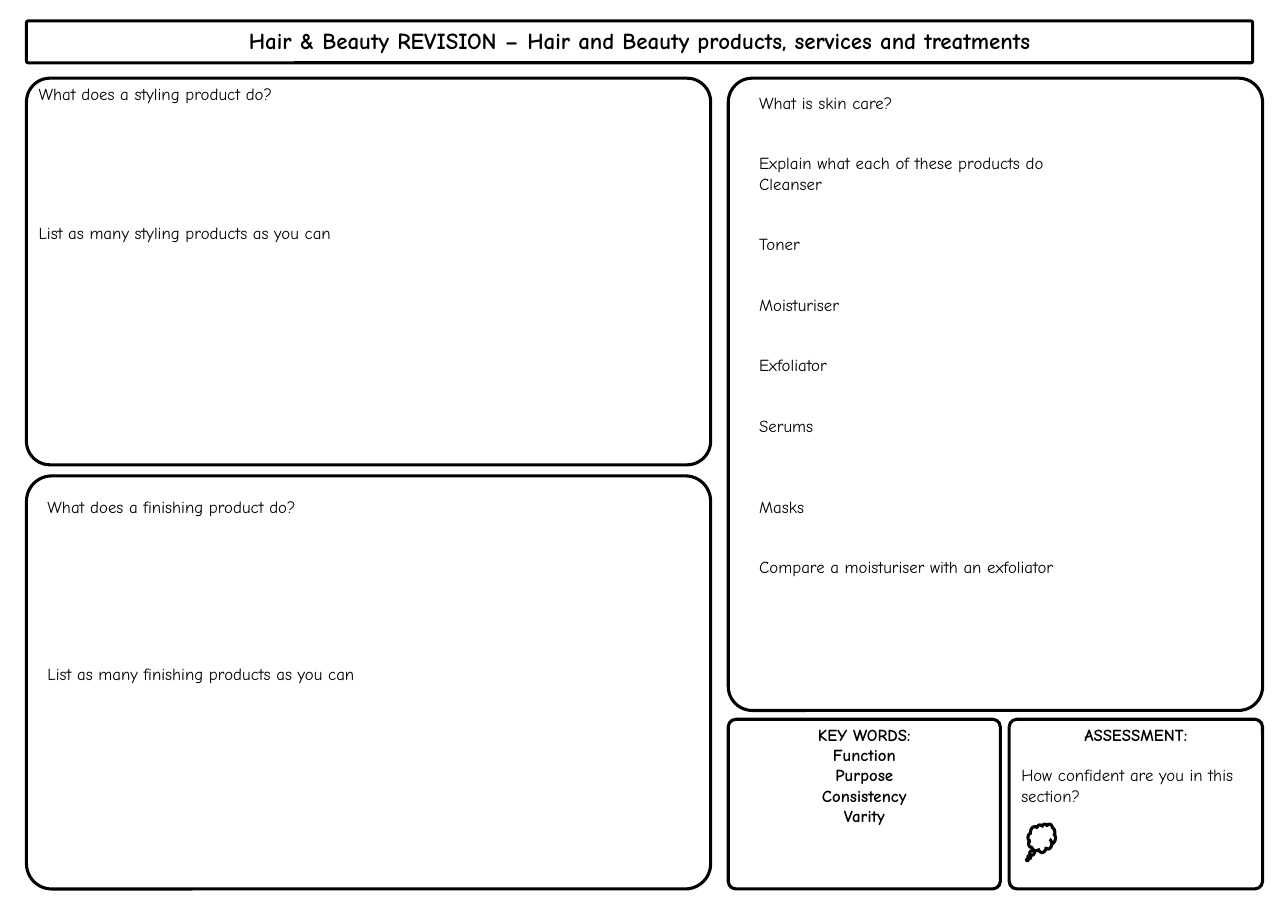
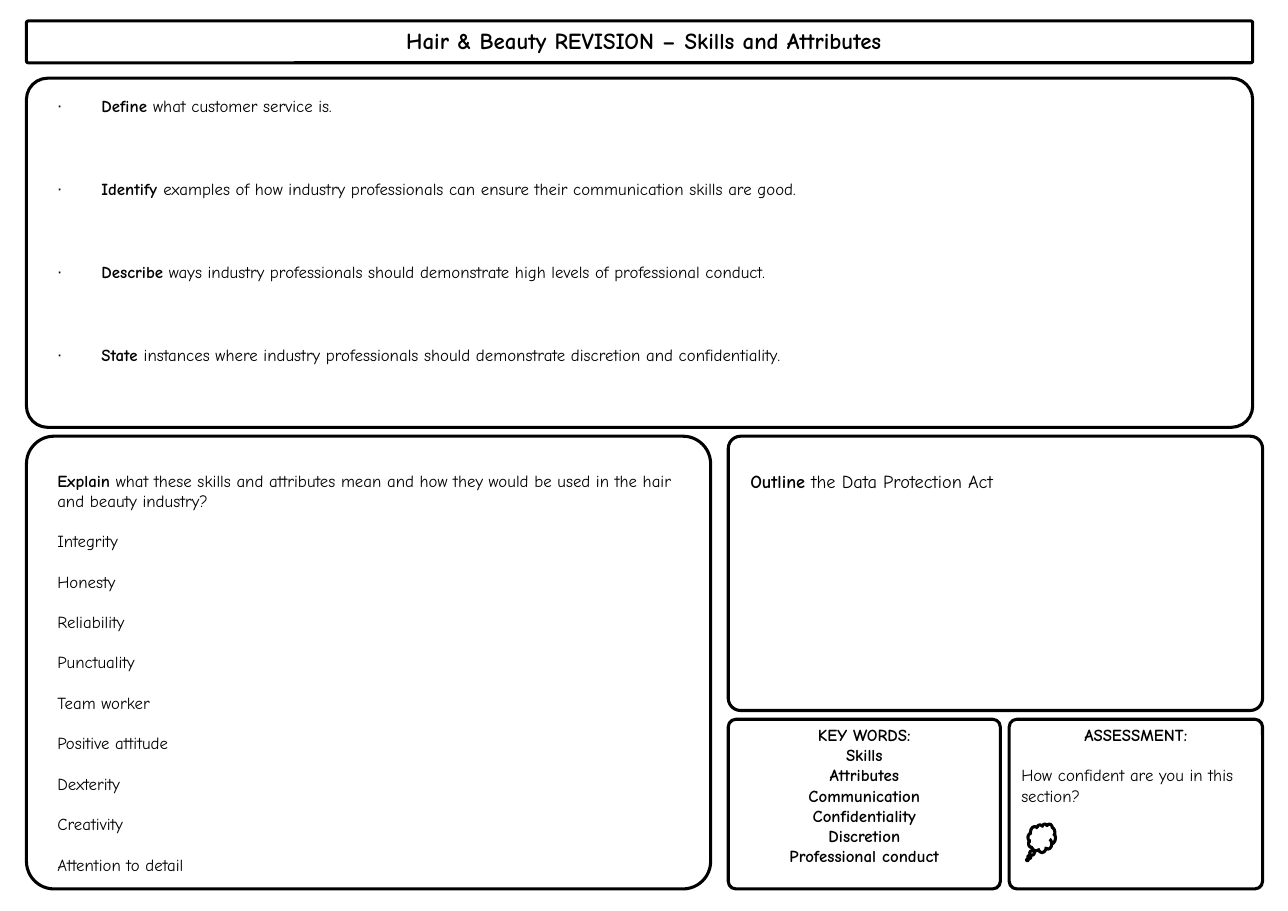
from dataclasses import dataclass

from lxml import etree
from pptx import Presentation
from pptx import util as u
from pptx.dml.color import RGBColor
from pptx.enum import shapes, text
from pptx.oxml import ns
from pptx.slide import Slide
from pptx.text.text import TextFrame

BLACK = RGBColor(0, 0, 0)
WHITE = RGBColor(255, 255, 255)
FONT = "Comic Neue"
TITLE_SIZE = 15
BODY_SIZE = 11
LINE_HEIGHT = 1.2  # share of the text size
BULLET_INDENT = 0.4

# Grid edges in inches: columns, then rows
LEFT, LEFT_END = 0.24, 6.45
RIGHT, RIGHT_END = 6.61, 11.46
KEY_END, CHECK = 9.08, 9.16
BAND_END = 11.37
TOP, MAIN_END = 0.71, 6.45
FOOT, BOTTOM = 6.53, 8.07
MIDDLE = 3.96  # second row on the skills page

WIDE_RADIUS, SMALL_RADIUS = 0.061, 0.045


@dataclass(frozen=True)
class Panel:
    left: float
    top: float
    right: float
    bottom: float
    radius: float = SMALL_RADIUS


@dataclass(frozen=True)
class Line:
    """A paragraph: bold lead, plain rest, and writing lines left free above."""
    lead: str = ""
    rest: str = ""
    free: int = 0
    centred: bool = False


@dataclass(frozen=True)
class Note:
    left: float
    top: float
    width: float
    height: float
    lines: tuple[Line, ...]
    size: float = BODY_SIZE
    before: float = 0  # points above every written or free line
    spacing: float = 1.0
    bullet: str = ""


@dataclass(frozen=True)
class Page:
    title: str
    panels: tuple[Panel, ...]
    body: Note
    notes: tuple[Note, ...]
    key_words: tuple[str, ...]


SHARED_PANELS = (
    Panel(LEFT, 0.19, BAND_END, 0.57),
    Panel(RIGHT, FOOT, KEY_END, BOTTOM),
    Panel(CHECK, FOOT, RIGHT_END, BOTTOM),
)

ASSESSMENT = Note(CHECK, FOOT, RIGHT_END - CHECK, BOTTOM - FOOT, (
    Line(lead="ASSESSMENT:", centred=True),
    Line(rest="How confident are you in this section?", free=1),
))

SKILLS = ("Integrity", "Honesty", "Reliability", "Punctuality", "Team worker",
          "Positive attitude", "Dexterity", "Creativity", "Attention to detail")

PAGES = (
    Page(
        title="Hair & Beauty REVISION – Hair and Beauty products, services and treatments ",
        panels=(
            Panel(RIGHT, TOP, RIGHT_END, MAIN_END),
            Panel(LEFT, TOP, LEFT_END, 4.22, WIDE_RADIUS),
            Panel(LEFT, 4.32, LEFT_END, BOTTOM, WIDE_RADIUS),
        ),
        body=Note(6.78, 0.79, 4.5, 4.69, (
            Line(rest="What is skin care?"),
            Line(rest="Explain what each of these products do", free=2),
            Line(rest="Cleanser"),
            Line(rest="Toner", free=2),
            Line(rest="Moisturiser", free=2),
            Line(rest="Exfoliator", free=2),
            Line(rest="Serums", free=2),
            Line(rest="Masks", free=3),
            Line(rest="Compare a moisturiser with an exfoliator", free=2),
        )),
        notes=(
            Note(LEFT, TOP, 6.04, 1.67, (
                Line(rest="What does a styling product do?"),
                Line(rest="List as many styling products as you can", free=4),
            ), before=5),
            Note(0.32, 4.46, 5.95, 2.49, (
                Line(rest="What does a finishing product do?"),
                Line(rest="List as many finishing products as you can", free=5),
            ), before=5),
        ),
        key_words=("Function", "Purpose", "Consistency", "Varity"),
    ),
    Page(
        title="Hair & Beauty REVISION – Skills and Attributes",
        panels=(
            Panel(RIGHT, MIDDLE, RIGHT_END, MAIN_END),
            Panel(LEFT, MIDDLE, LEFT_END, BOTTOM, WIDE_RADIUS),
            Panel(LEFT, TOP, BAND_END, 3.88, WIDE_RADIUS),
        ),
        body=Note(0.41, 0.81, 10.71, 2.58, (
            Line("Define ", "what customer service is."),
            Line("Identify ", "examples of how industry professionals can ensure "
                 "their communication skills are good.", free=1),
            Line("Describe", " ways industry professionals should demonstrate "
                 "high levels of professional conduct.", free=1),
            Line("State ", "instances where industry professionals should "
                 "demonstrate discretion and confidentiality.", free=1),
        ), before=13, spacing=1.07, bullet="∙"),
        notes=(
            Note(0.41, 4.22, 5.95, 3.77, (
                Line("Explain", " what these skills and attributes mean and how they "
                     "would be used in the hair and beauty industry?"),
                *(Line(rest=skill, free=1) for skill in SKILLS),
            )),
            Note(6.7, 4.22, 4.67, 0.31,
                 (Line("Outline", " the Data Protection Act"),), size=12),
        ),
        key_words=("Skills", "Attributes", "Communication", "Confidentiality",
                   "Discretion", "Professional conduct"),
    ),
)


def place(shape, left: float, top: float, width: float, height: float) -> None:
    shape.left, shape.top = u.Inches(left), u.Inches(top)
    shape.width, shape.height = u.Inches(width), u.Inches(height)


def set_bullet(para, bullet: str) -> None:
    """Give the paragraph a hanging bullet, or clear the inherited one."""
    indent = u.Inches(BULLET_INDENT) if bullet else 0
    properties = para._p.get_or_add_pPr()
    properties.set("marL", str(indent))
    properties.set("indent", str(-indent))
    mark = etree.SubElement(properties, ns.qn("a:buChar" if bullet else "a:buNone"))
    if bullet:
        mark.set("char", bullet)


def add_run(para, words: str, size: float, bold: bool) -> None:
    span = para.add_run()
    span.text = words
    span.font.name = FONT
    span.font.size = u.Pt(size)
    span.font.bold = bold
    span.font.color.rgb = BLACK


def write(frame: TextFrame, note: Note) -> None:
    frame.word_wrap = True
    frame.auto_size = text.MSO_AUTO_SIZE.NONE
    frame.vertical_anchor = text.MSO_ANCHOR.TOP
    frame.margin_left = frame.margin_right = u.Inches(0.11)
    frame.margin_top = frame.margin_bottom = u.Inches(0.05)
    free_line = note.size * LINE_HEIGHT * note.spacing + note.before
    for index, line in enumerate(note.lines):
        para = frame.add_paragraph() if index else frame.paragraphs[0]
        set_bullet(para, note.bullet)
        para.alignment = text.PP_ALIGN.CENTER if line.centred else text.PP_ALIGN.LEFT
        para.line_spacing = note.spacing
        para.space_before = u.Pt(note.before + line.free * free_line if index else 0)
        para.space_after = u.Pt(0)
        for words, bold in ((line.lead, True), (line.rest, False)):
            if words:
                add_run(para, words, note.size, bold)


def fill_placeholder(shape, note: Note) -> None:
    place(shape, note.left, note.top, note.width, note.height)
    write(shape.text_frame, note)


def add_note(page: Slide, note: Note) -> None:
    box = page.shapes.add_textbox(0, 0, 0, 0)
    fill_placeholder(box, note)


def add_outline(page: Slide, kind: shapes.MSO_SHAPE, left: float, top: float,
                width: float, height: float, adjustments: tuple[float, ...]) -> None:
    shape = page.shapes.add_shape(kind, 0, 0, 0, 0)
    place(shape, left, top, width, height)
    shape.shadow.inherit = False
    shape.fill.background()
    shape.line.color.rgb = BLACK
    shape.line.width = u.Pt(2)
    for index, value in enumerate(adjustments):
        shape.adjustments[index] = value


def add_page(deck: Presentation, content: Page) -> None:
    page = deck.slides.add_slide(deck.slide_layouts[1])
    page.background.fill.solid()
    page.background.fill.fore_color.rgb = WHITE
    title = Note(1, 0.19, 9.69, 0.38, (Line(lead=content.title, centred=True),), TITLE_SIZE)
    fill_placeholder(page.shapes.title, title)
    fill_placeholder(page.placeholders[1], content.body)

    for panel in SHARED_PANELS + content.panels:
        add_outline(page, shapes.MSO_SHAPE.ROUNDED_RECTANGLE, panel.left, panel.top,
                    panel.right - panel.left, panel.bottom - panel.top, (panel.radius,))
    add_outline(page, shapes.MSO_SHAPE.CLOUD_CALLOUT, 9.33, 7.48, 0.25, 0.26, (-0.52, 0.76))

    key_lines = tuple(Line(lead=word, centred=True)
                      for word in ("KEY WORDS:", *content.key_words))
    key_note = Note(6.7, FOOT, 2.29, BOTTOM - FOOT, key_lines)
    for note in (key_note, ASSESSMENT, *content.notes):
        add_note(page, note)


def main() -> None:
    deck = Presentation()
    deck.slide_width, deck.slide_height = u.Inches(11.69), u.Inches(8.27)
    for content in PAGES:
        add_page(deck, content)
    deck.save("out.pptx")


if __name__ == "__main__":
    main()
